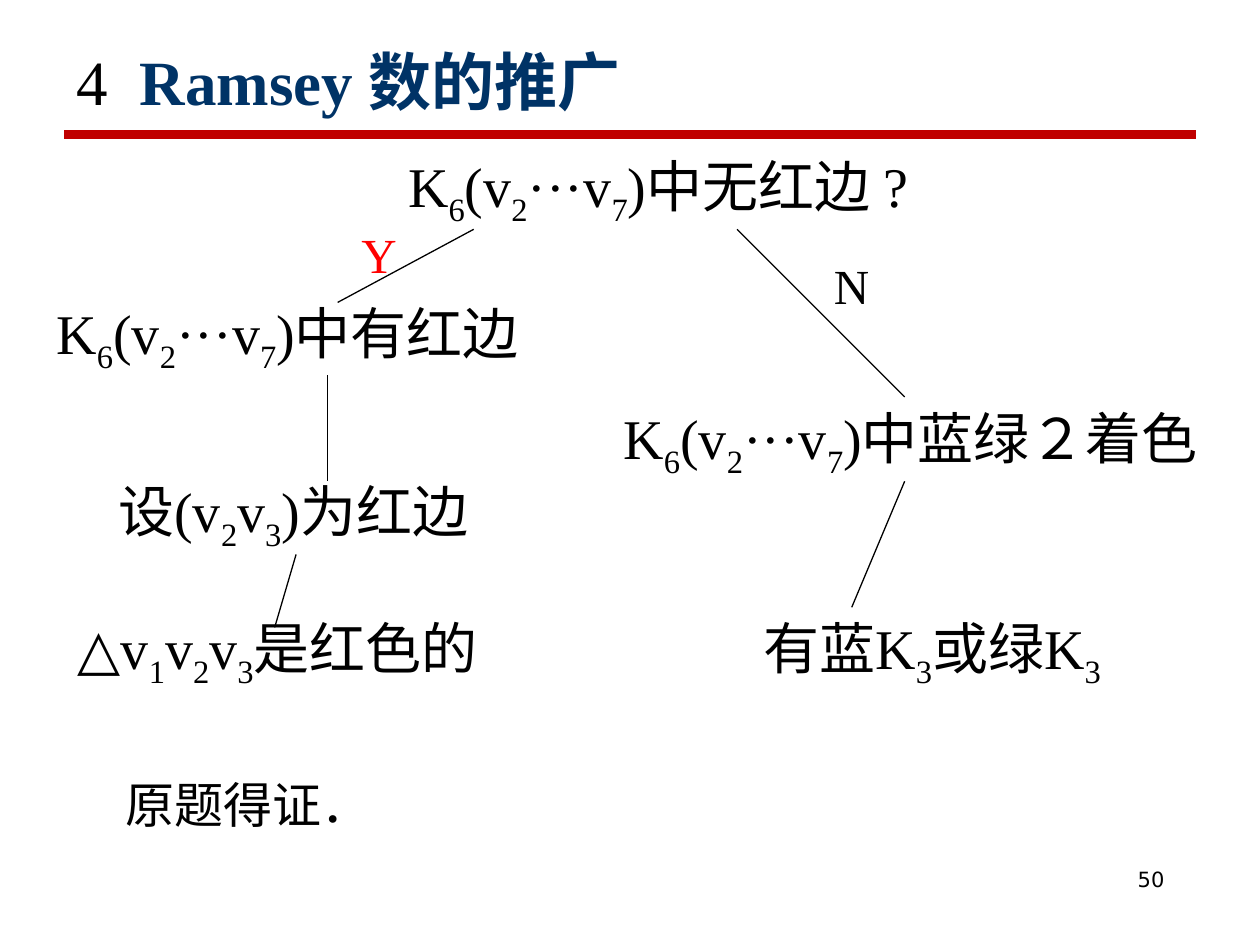
import pptx
import pptx.dml.color
import pptx.enum.shapes
import pptx.enum.text
import pptx.oxml.ns
import pptx.util
from lxml import etree
from pptx.util import Inches

BLACK = pptx.dml.color.RGBColor(0x00, 0x00, 0x00)
RED = pptx.dml.color.RGBColor(0xFF, 0x00, 0x00)
RULE_RED = pptx.dml.color.RGBColor(0xC0, 0x00, 0x00)
NAVY = pptx.dml.color.RGBColor(0x00, 0x33, 0x66)
SERIF = "Times New Roman"
SANS = "DejaVu Sans"

K6 = "K_6(v_2···v_7)"

# Tree statements: text, left, top, width, wrap; "_" lowers the next character
STATEMENTS = [
    (K6 + "中无红边 ?", 3.14, 1.15, 4.38, False),
    (K6 + "中有红边", 0.35, 2.32, 3.98, False),
    (K6 + "中蓝绿２着色", 4.85, 3.15, 4.87, False),
    ("有蓝K_3或绿K_3", 5.96, 4.82, 3.2, False),
    ("设(v_2v_3)为红边", 0.84, 3.73, 3.19, False),
    ("△v_1v_2v_3是红色的", 0.52, 4.82, 3.83, True),
]

# Branch labels and conclusion: text, left, top, width, colour
LABELS = [
    ("原题得证．", 0.9, 6.1, 2.14, BLACK),
    ("N", 6.52, 1.98, 0.48, BLACK),
    ("Y", 2.77, 1.73, 0.48, RED),
]

# Tree branches: x1, y1, x2, y2
BRANCHES = [
    (3.76, 1.82, 2.68, 2.4),
    (2.6, 2.98, 2.6, 3.82),
    (2.35, 4.4, 2.18, 4.98),
    (5.85, 1.82, 7.18, 3.15),
    (7.18, 3.82, 6.76, 4.82),
]


def add_box(page, left, top, width, height, wrap=True, grow=False):
    """Add a text box and return its first paragraph."""
    box = page.shapes.add_textbox(Inches(left), Inches(top), Inches(width), Inches(height))
    frame = box.text_frame
    frame.word_wrap = wrap
    if grow:
        frame.auto_size = pptx.enum.text.MSO_AUTO_SIZE.SHAPE_TO_FIT_TEXT
    return frame.paragraphs[0]


def add_span(para, text, size, color=BLACK, font=SERIF, bold=False, lowered=False):
    span = para.add_run()
    span.text = text
    span.font.size = pptx.util.Pt(size)
    span.font.name = font
    span.font.bold = bold
    span.font.color.rgb = color
    if lowered:
        span._r.get_or_add_rPr().set("baseline", "-25000")


def add_formula(para, text, size):
    """Add text in which the character after each "_" is a subscript."""
    first, *rest = text.split("_")
    add_span(para, first, size)
    for part in rest:
        add_span(para, part[0], size, lowered=True)
        if part[1:]:
            add_span(para, part[1:], size)


def add_line(page, x1, y1, x2, y2, color=BLACK, weight=0.75):
    line = page.shapes.add_connector(
        pptx.enum.shapes.MSO_CONNECTOR.STRAIGHT,
        Inches(x1), Inches(y1), Inches(x2), Inches(y2))
    line.line.color.rgb = color
    line.line.width = pptx.util.Pt(weight)
    etree.SubElement(line._element.spPr, pptx.oxml.ns.qn("a:effectLst"))


def add_title(page):
    para = add_box(page, 0.51, 0.28, 8.58, 0.71)
    page.shapes[-1].text_frame.vertical_anchor = pptx.enum.text.MSO_ANCHOR.BOTTOM
    add_span(para, "4  ", 36)
    add_span(para, "Ramsey 数的推广", 36, NAVY, bold=True)


def add_page_number(page):
    para = add_box(page, 7.17, 6.83, 2.17, 0.52)
    para.alignment = pptx.enum.text.PP_ALIGN.RIGHT
    add_span(para, "50", 12, font=SANS)


def main():
    deck = pptx.Presentation()
    deck.slide_width = Inches(10)
    deck.slide_height = Inches(7.5)
    page = deck.slides.add_slide(deck.slide_layouts[6])

    # Heading rule and page number
    add_line(page, 0.51, 1.07, 9.49, 1.07, RULE_RED, 5)
    add_page_number(page)

    # Proof tree
    for text, left, top, width, wrap in STATEMENTS:
        add_formula(add_box(page, left, top, width, 0.71, wrap, grow=True), text, 32)
    for branch in BRANCHES:
        add_line(page, *branch)
    for text, left, top, width, color in LABELS:
        add_span(add_box(page, left, top, width, 0.57, False, grow=True), text, 28, color)

    add_title(page)
    deck.save("out.pptx")


if __name__ == "__main__":
    main()
